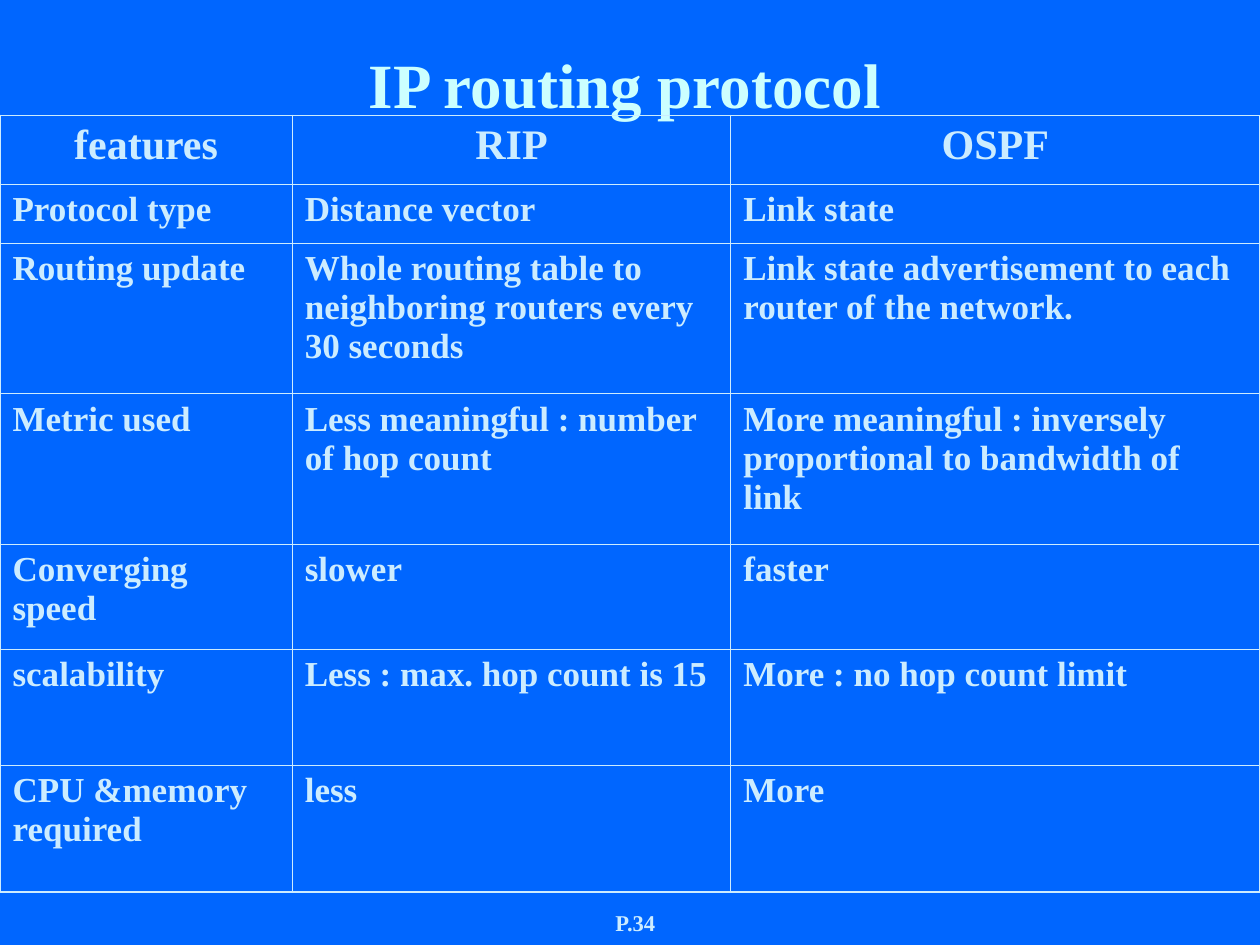
"""Builds a slide comparing two IP routing protocols in a table."""
from lxml import etree
from pptx import Presentation
from pptx.dml.color import RGBColor
from pptx.enum import text
from pptx.oxml import ns
from pptx.util import Pt

COLOURS = {"ground": "0066FF", "title": "CCFFFF", "body": "CCECFF"}
FONT = "Times New Roman"
THICK, THIN = 1.08, 0.45
COLUMNS = [167, 250.6, 302.4]
ROWS = [39.4, 33.7, 86, 86, 60, 66.3, 72.6]
FEATURES = [
    ["features", "RIP", "OSPF"],
    ["Protocol type", "Distance vector", "Link state"],
    ["Routing update",
     "Whole routing table to neighboring routers every 30 seconds",
     "Link state advertisement to each router of the network."],
    ["Metric used", "Less meaningful : number of hop count",
     "More meaningful : inversely proportional to bandwidth of link"],
    ["Converging speed", "slower", "faster"],
    ["scalability", "Less : max. hop count is 15", "More : no hop count limit"],
    ["CPU &memory required", "less", "More"],
]


class Painter:
    def __init__(self, deck):
        self.page = deck.slides.add_slide(deck.slide_layouts[5])
        fill = self.page.background.fill
        fill.solid()
        fill.fore_color.rgb = RGBColor.from_string(COLOURS["ground"])

    def wording(self, frame, words, size, colour="body", centred=True, before=0):
        frame.text = words
        frame.word_wrap = True
        para = frame.paragraphs[0]
        para.alignment = text.PP_ALIGN.CENTER if centred else text.PP_ALIGN.LEFT
        para.space_before = Pt(before)
        font = para.runs[0].font
        font.name, font.size, font.bold = FONT, Pt(size), True
        font.color.rgb = RGBColor.from_string(COLOURS[colour])

    def title(self, words, left, top, width, height):
        box = self.page.shapes.title
        box.left, box.top, box.width, box.height = map(Pt, (left, top, width, height))
        frame = box.text_frame
        self.wording(frame, words, 36, "title")
        frame.auto_size = text.MSO_AUTO_SIZE.NONE
        frame.vertical_anchor = text.MSO_ANCHOR.TOP
        frame.margin_top, frame.margin_bottom = Pt(8), Pt(0)

    def label(self, words, left, top, width, height, size):
        box = self.page.shapes.add_textbox(*map(Pt, (left, top, width, height)))
        self.wording(box.text_frame, words, size, before=8.8)

    def borders(self, cell, widths):
        props = cell._tc.get_or_add_tcPr()
        for place, (side, width) in enumerate(widths.items()):
            line = etree.Element(ns.qn(f"a:ln{side}"), w=str(int(Pt(width))))
            solid = etree.SubElement(line, ns.qn("a:solidFill"))
            etree.SubElement(solid, ns.qn("a:srgbClr"), val=COLOURS["body"])
            props.insert(place, line)

    def table(self, rows, left, top, widths, heights):
        size = map(Pt, (left, top, sum(widths), sum(heights)))
        grid = self.page.shapes.add_table(len(rows), len(widths), *size).table
        grid.first_row = grid.horz_banding = False
        for column, width in zip(grid.columns, widths):
            column.width = Pt(width)
        last_row, last_column = len(rows) - 1, len(widths) - 1
        for r, row in enumerate(rows):
            grid.rows[r].height = Pt(heights[r])
            header = r == 0
            for c, words in enumerate(row):
                cell = grid.cell(r, c)
                cell.fill.background()
                self.wording(cell.text_frame, words, 24 if header else 20,
                             centred=header, before=6 if header else 5)
                outer = {"L": c == 0, "R": c == last_column,
                         "T": r == 0, "B": r == last_row}
                self.borders(cell, {side: THICK if edge else THIN
                                    for side, edge in outer.items()})


deck = Presentation()
deck.slide_width, deck.slide_height = Pt(720), Pt(540)
painter = Painter(deck)
painter.label("P.34", 288, 516, 150, 24, 12.9)
painter.title("IP routing protocol", 18, 18, 678, 48)
painter.table(FEATURES, 0, 66, COLUMNS, ROWS)
deck.save("out.pptx")
